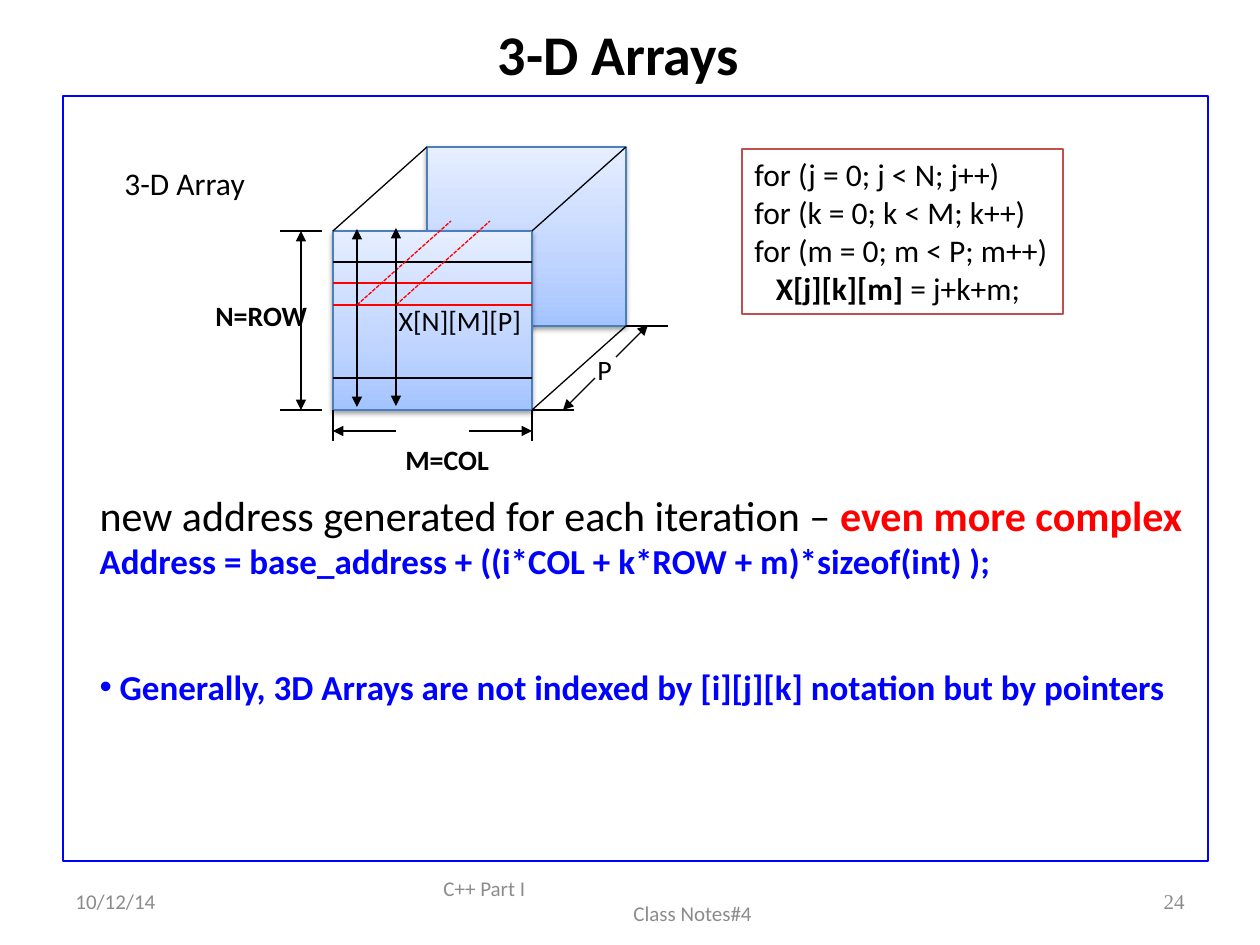
from dataclasses import dataclass
from lxml import etree
from pptx import Presentation
from pptx.dml.color import RGBColor
from pptx.enum.dml import MSO_LINE
from pptx.enum.shapes import MSO_CONNECTOR, MSO_SHAPE
from pptx.enum.text import MSO_ANCHOR, MSO_AUTO_SIZE, PP_ALIGN
from pptx.oxml import parse_xml
from pptx.oxml.ns import nsdecls, qn
from pptx.util import Emu, Pt

LEFT, CENTER, RIGHT = PP_ALIGN.LEFT, PP_ALIGN.CENTER, PP_ALIGN.RIGHT
TOP, MIDDLE = MSO_ANCHOR.TOP, MSO_ANCHOR.MIDDLE
FIT, FIXED = MSO_AUTO_SIZE.SHAPE_TO_FIT_TEXT, MSO_AUTO_SIZE.NONE
RECT, STRAIGHT, DASH = MSO_SHAPE.RECTANGLE, MSO_CONNECTOR.STRAIGHT, MSO_LINE.SQUARE_DOT
PX_PER_INCH = 126


@dataclass(frozen=True)
class Theme:
    font: str = "Calibri"
    number_font: str = "Times New Roman"
    black: str = "000000"
    grey: str = "8C8C8C"
    blue: str = "0000FF"
    red: str = "FF0000"
    code_line: str = "C0504D"
    cube_line: str = "4B7EBC"
    cube_stops: tuple = ((0, "A4C4FF"), (35, "BFD4FF"), (100, "E6EEFF"))
    title: int = 32
    lead: int = 24
    point: int = 20
    code: int = 18
    label: int = 16
    footer: int = 12
    line: float = 0.75


T = Theme()


def px(n):
    return Emu(round(n * 914400 / PX_PER_INCH))


def place(s, box):
    s.left, s.top, s.width, s.height = map(px, box)


def add_run(p, text, size, color=T.black, bold=False, font=T.font):
    r = p.add_run()
    r.text = text
    r.font.name, r.font.size, r.font.bold = font, Pt(size), bold
    r.font.color.rgb = RGBColor.from_string(color)


def set_frame(tf, wrap=False, anchor=TOP, auto=FIT):
    tf.word_wrap, tf.vertical_anchor, tf.auto_size = wrap, anchor, auto


def set_indent(p, margin, hanging=0, bullet=None):
    pPr = p._p.get_or_add_pPr()
    pPr.set("marL", str(px(margin)))
    pPr.set("indent", str(-px(hanging)))
    tag = etree.SubElement(pPr, qn("a:buChar" if bullet else "a:buNone"))
    if bullet:
        tag.set("char", bullet)


def add_label(slide, box, text, size, bold=False):
    s = slide.shapes.add_textbox(*map(px, box))
    set_frame(s.text_frame)
    add_run(s.text_frame.paragraphs[0], text, size, bold=bold)


def add_footer(slide, box, lines, align=LEFT, font=T.font):
    s = slide.shapes.add_textbox(*map(px, box))
    tf = s.text_frame
    set_frame(tf, True, MIDDLE, FIXED)
    for i, (text, margin) in enumerate(lines):
        p = tf.add_paragraph() if i else tf.paragraphs[0]
        set_indent(p, margin)
        p.alignment = align
        add_run(p, text, T.footer, T.grey, font=font)


def add_rect(slide, box, line):
    s = slide.shapes.add_shape(RECT, *map(px, box))
    s.shadow.inherit = False
    s.fill.background()
    s.line.color.rgb = RGBColor.from_string(line)
    s.line.width = Pt(T.line)
    return s


def add_cube_face(slide, box):
    s = add_rect(slide, box, T.cube_line)
    s.fill.gradient()
    s.fill.gradient_angle = 90
    spPr = s._element.spPr
    stops = spPr.find(".//" + qn("a:gsLst"))
    for gs in list(stops):
        stops.remove(gs)
    for pos, color in T.cube_stops:
        stops.append(parse_xml(
            f'<a:gs {nsdecls("a")} pos="{pos * 1000}"><a:srgbClr val="{color}"/></a:gs>'))
    spPr.find(qn("a:effectLst")).append(parse_xml(
        f'<a:outerShdw {nsdecls("a")} blurRad="{Pt(3.1)}" dist="{Pt(1.6)}" dir="5400000" '
        f'rotWithShape="0"><a:srgbClr val="{T.black}"><a:alpha val="38000"/></a:srgbClr>'
        '</a:outerShdw>'))
    return s


def add_line(slide, x1, y1, x2, y2, color=T.black, arrows=(), dash=None):
    c = slide.shapes.add_connector(STRAIGHT, px(x1), px(y1), px(x2), px(y2))
    c.line.color.rgb = RGBColor.from_string(color)
    c.line.width = Pt(T.line)
    if dash:
        c.line.dash_style = dash
    ln = c.line._get_or_add_ln()
    for end in arrows:
        etree.SubElement(ln, qn(f"a:{end}End")).set("type", "triangle")
    etree.SubElement(c._element.spPr, qn("a:effectLst"))


def add_cube(slide):
    x, y, w, h, dx, dy = 333, 231, 199, 179, 94, -84
    right, bottom = x + w, y + h
    both = ("head", "tail")
    add_cube_face(slide, (x + dx, y + dy, w, h))
    s = add_cube_face(slide, (x, y, w, h))
    tf = s.text_frame
    set_frame(tf, True, MIDDLE, FIXED)
    tf.margin_right = px(11)
    tf.paragraphs[0].alignment = RIGHT
    add_run(tf.paragraphs[0], "X[N][M][P]", T.label)

    for cx, cy in ((right, bottom), (x, y), (right, y)):
        add_line(slide, cx, cy, cx + dx, cy + dy)
    for row, color in ((262, T.black), (283, T.red), (305, T.red), (378, T.black)):
        add_line(slide, x, row, right, row, color)
    for edge in (y, bottom):
        add_line(slide, 322, edge, 280, edge)
    for edge in (x, right):
        add_line(slide, edge, bottom, edge, 441)
    for ex, ey in ((right, bottom), (right + dx, bottom + dy)):
        add_line(slide, ex, ey, ex + 42, ey)

    add_line(slide, 301, y, 301, bottom, arrows=both)
    add_line(slide, x, 431, x + 63, 431, arrows=("head",))
    add_line(slide, right - 63, 431, right, 431, arrows=("tail",))
    add_line(slide, 563, 410, 595, 378, arrows=("head",))
    add_line(slide, 616, 357, 648, 325, arrows=("tail",))
    for column, top in ((357, 229), (396, 228)):
        add_line(slide, column, top, column, top + 178, arrows=both)
        add_line(slide, column, 305, column + 94, 221, T.red, dash=DASH)

    add_label(slide, (112, 158, 147, 50), "3-D Array", T.code)
    add_label(slide, (203, 292, 120, 47), "N=ROW", T.label, True)
    add_label(slide, (393, 436, 111, 47), "M=COL", T.label, True)
    add_label(slide, (585, 346, 40, 47), "P", T.label)


def add_code(slide):
    s = add_rect(slide, (742, 149, 321, 165), T.code_line)
    tf = s.text_frame
    set_frame(tf)
    lines = (
        (("for (j = 0; j < N; j++)", False),),
        (("for (k = 0; k < M; k++)", False),),
        (("for (m = 0; m < P; m++)", False),),
        (("   ", False), ("X[j][k][m]", True), (" = j+k+m;", False)),
    )
    for i, runs in enumerate(lines):
        p = tf.add_paragraph() if i else tf.paragraphs[0]
        p.alignment = LEFT
        for text, bold in runs:
            add_run(p, text, T.code, bold=bold)


def fill_title(slide):
    s = slide.shapes.title
    place(s, (126, 21, 998, 74))
    set_frame(s.text_frame, True, TOP, FIXED)
    p = s.text_frame.paragraphs[0]
    p.alignment, p.line_spacing = CENTER, 0.9
    add_run(p, "3-D Arrays ", T.title, bold=True)


def fill_body(slide):
    s = slide.placeholders[1]
    place(s, (87, 483, 1121, 233))
    tf = s.text_frame
    set_frame(tf, True, TOP, FIXED)
    lines = (
        ((("new address generated for each iteration – ", T.lead, T.black, False),
          ("even more complex", T.lead, T.red, True)), 0, None),
        ((("Address = base_address + ((i*COL + k*ROW + m)*sizeof(int) );",
           T.point, T.blue, True),), 0, None),
        ((("Generally, 3D Arrays are not indexed by [i][j][k] notation but by pointers",
           T.point, T.blue, True),), 48, "•"),
    )
    for i, (runs, before, bullet) in enumerate(lines):
        p = tf.add_paragraph() if i else tf.paragraphs[0]
        p.space_before = Pt(before)
        indent = 20 if bullet else 0
        set_indent(p, indent, indent, bullet)
        for run in runs:
            add_run(p, *run)


def main():
    prs = Presentation()
    prs.slide_width, prs.slide_height = px(1260), px(945)
    slide = prs.slides.add_slide(prs.slide_layouts[1])
    fill_title(slide)
    fill_body(slide)
    add_rect(slide, (63, 96, 1145, 765), T.blue)
    add_cube(slide)
    add_code(slide)
    add_footer(slide, (63, 876, 294, 50), (("10/12/14", 0),))
    add_footer(slide, (431, 876, 399, 50), (("C++ Part I", 0), ("Class Notes#4", 190)))
    add_footer(slide, (903, 876, 294, 50), (("24", 0),), RIGHT, T.number_font)
    prs.save("out.pptx")


if __name__ == "__main__":
    main()
